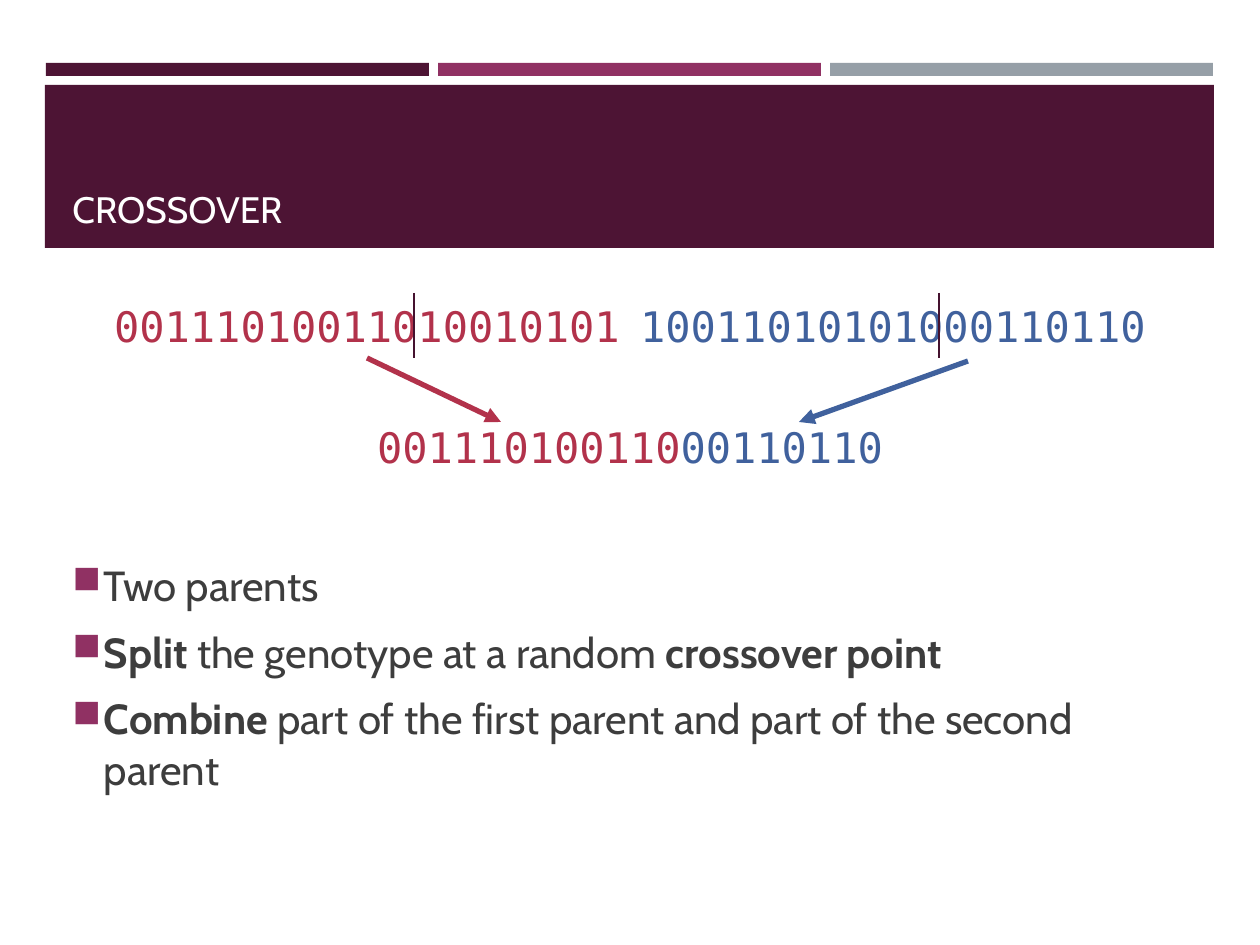
import lxml.etree
import pptx
import pptx.dml.color
import pptx.enum.shapes
import pptx.enum.text
import pptx.oxml.ns
import pptx.util

EMU_PER_PX = 914400 / 126
COLORS = {
    "plum": "4D1434",
    "magenta": "903163",
    "gray": "969FA7",
    "white": "FFFFFF",
    "text": "3D3D3D",
    "red": "B2324B",
    "blue": "40619D",
    "cut": "45122F",
}
BODY_FONT = "Cabin"
GENE_FONT = "DejaVu Sans Mono"
ANCHOR = pptx.enum.text.MSO_ANCHOR
ALIGN = pptx.enum.text.PP_ALIGN


def px(value):
    return pptx.util.Emu(round(value * EMU_PER_PX))


def rgb(name):
    return pptx.dml.color.RGBColor.from_string(COLORS[name])


def add_child(parent, tag, **attributes):
    return lxml.etree.SubElement(parent, pptx.oxml.ns.qn(tag), **attributes)


def add_bar(slide, left, top, width, height, color):
    shape = slide.shapes.add_shape(
        pptx.enum.shapes.MSO_SHAPE.RECTANGLE, px(left), px(top), px(width), px(height))
    shape.shadow.inherit = False
    shape.fill.solid()
    shape.fill.fore_color.rgb = rgb(color)
    shape.line.fill.background()


def add_text_frame(slide, left, top, width, height, anchor):
    box = slide.shapes.add_textbox(px(left), px(top), px(width), px(height))
    frame = box.text_frame
    frame.word_wrap = True
    frame.vertical_anchor = anchor
    return frame


def add_run(paragraph, text, size, font, color, bold=False):
    run = paragraph.add_run()
    run.text = text
    run.font.size = pptx.util.Pt(size)
    run.font.name = font
    run.font.bold = bold
    run.font.color.rgb = rgb(color)


def add_genotype(slide, left, top, width, parts):
    frame = add_text_frame(slide, left, top, width, 63, ANCHOR.TOP)
    paragraph = frame.paragraphs[0]
    paragraph.alignment = ALIGN.CENTER
    for text, color in parts:
        add_run(paragraph, text, 24, GENE_FONT, color)


def add_bullet(paragraph, parts):
    paragraph.space_before = pptx.util.Pt(4.8)
    paragraph.space_after = pptx.util.Pt(4.5)
    properties = paragraph._p.get_or_add_pPr()
    indent = pptx.util.Inches(0.25)
    properties.set("marL", str(indent))
    properties.set("indent", str(-indent))
    bullet_color = add_child(properties, "a:buClr")
    add_child(bullet_color, "a:srgbClr", val=COLORS["magenta"])
    add_child(properties, "a:buSzPct", val="92000")
    add_child(properties, "a:buChar", char="■")
    for text, bold in parts:
        add_run(paragraph, text, 24, BODY_FONT, "text", bold)


def add_line(slide, start, end, color, width, arrow=False):
    connector = slide.shapes.add_connector(
        pptx.enum.shapes.MSO_CONNECTOR.STRAIGHT,
        px(start[0]), px(start[1]), px(end[0]), px(end[1]))
    connector.line.width = pptx.util.Pt(width)
    connector.line.color.rgb = rgb(color)
    if arrow:
        add_child(connector.line._get_or_add_ln(), "a:tailEnd", type="triangle")
    add_child(connector._element.spPr, "a:effectLst")


def add_header(slide):
    for index, color in enumerate(("plum", "magenta", "gray")):
        add_bar(slide, 46 + index * 392, 63, 383, 13, color)
    add_bar(slide, 45, 85, 1169, 163, "plum")
    title = add_text_frame(slide, 60, 97, 1140, 140, ANCHOR.BOTTOM)
    add_run(title.paragraphs[0], "CROSSOVER", 21, BODY_FONT, "white")


def add_body(slide):
    bullets = (
        (("Two parents", False),),
        (("Split", True), (" the genotype at a random ", False), ("crossover point", True)),
        (("Combine", True),
         (" part of the first parent and part of the second parent", False)),
    )
    frame = add_text_frame(slide, 60, 503, 1140, 347, ANCHOR.MIDDLE)
    for index, parts in enumerate(bullets):
        paragraph = frame.add_paragraph() if index else frame.paragraphs[0]
        add_bullet(paragraph, parts)


def add_crossover(slide):
    add_genotype(slide, 94, 294, 546, (("00111010011010010101", "red"),))
    add_genotype(slide, 620, 294, 546, (("10011010101000110110", "blue"),))
    add_genotype(slide, 104, 415, 1052, (("001110100110", "red"), ("00110110", "blue")))
    for cut in (414, 939):
        add_line(slide, (cut, 293), (cut, 358), "cut", 1)
    add_line(slide, (367, 358), (501, 422), "red", 3, arrow=True)
    add_line(slide, (968, 361), (799, 422), "blue", 3, arrow=True)


def main():
    presentation = pptx.Presentation()
    presentation.slide_width = px(1260)
    presentation.slide_height = px(945)
    slide = presentation.slides.add_slide(presentation.slide_layouts[6])
    add_header(slide)
    add_body(slide)
    add_crossover(slide)
    presentation.save("out.pptx")


if __name__ == "__main__":
    main()
